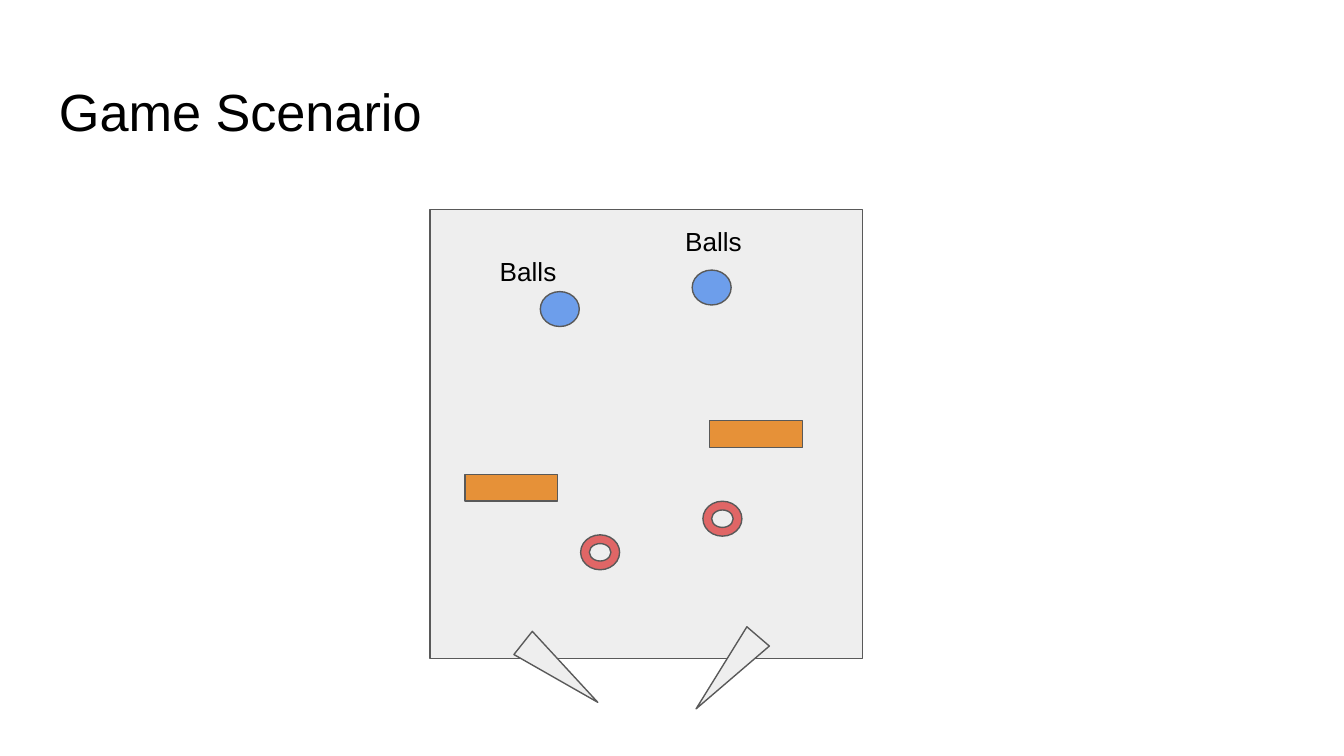
from dataclasses import dataclass

from pptx import Presentation
from pptx.dml.color import RGBColor as RGB
from pptx.enum.shapes import MSO_SHAPE as SHAPE
from pptx.enum.text import MSO_ANCHOR as ANCHOR
from pptx.util import Inches, Pt


@dataclass(frozen=True)
class Theme:
    font: str = "Arial"
    title_size: int = 28
    label_size: int = 14
    line_width: float = 0.75
    text: str = "000000"
    outline: str = "595959"
    board: str = "EEEEEE"
    ball: str = "6D9EEB"
    bar: str = "E69138"
    ring: str = "E06666"


THEME = Theme()
BALL_SIZE = (0.29, 0.26)
BAR_SIZE = (0.69, 0.2)
FLIPPER_SIZE = (0.22, 0.71)
LABEL_SIZE = (0.9, 0.31)


def add_text(s, text, pos, size, points):
    sp = s.shapes.add_textbox(*map(Inches, pos + size))
    tf = sp.text_frame
    frame_format = {"word_wrap": True, "vertical_anchor": ANCHOR.TOP}
    frame_format |= {f"margin_{side}": Inches(0.1)
                     for side in ("left", "top", "right", "bottom")}
    for name, value in frame_format.items():
        setattr(tf, name, value)
    r = tf.paragraphs[0].add_run()
    r.text = text
    for name, value in {"name": THEME.font, "size": Pt(points)}.items():
        setattr(r.font, name, value)
    r.font.color.rgb = RGB.from_string(THEME.text)


def add_piece(s, kind, pos, size, fill, rotation=0):
    sp = s.shapes.add_shape(kind, *map(Inches, pos + size))
    sp.rotation = rotation
    sp.shadow.inherit = False
    sp.fill.solid()
    sp.fill.fore_color.rgb = RGB.from_string(fill)
    sp.line.color.rgb = RGB.from_string(THEME.outline)
    sp.line.width = Pt(THEME.line_width)


def main():
    # Widescreen 16:9 slide
    prs = Presentation()
    prs.slide_width = Inches(10)
    prs.slide_height = Inches(10) * 9 // 16
    s = prs.slides.add_slide(prs.slide_layouts[6])

    # Title and board
    add_text(s, "Game Scenario", (0.34, 0.49), (9.32, 0.63), THEME.title_size)
    add_piece(s, SHAPE.RECTANGLE, (3.2, 1.56), (3.22, 3.34), THEME.board)

    # Flippers
    for x, rotation in ((4.06, 128.5), (5.3, 220.6)):
        add_piece(s, SHAPE.ISOSCELES_TRIANGLE, (x, 4.65), FLIPPER_SIZE,
                  THEME.board, rotation)

    # Balls and their labels
    for pos in ((4.02, 2.17), (5.15, 2.01)):
        add_piece(s, SHAPE.OVAL, pos, BALL_SIZE, THEME.ball)
    for pos in ((3.62, 1.8), (5, 1.58)):
        add_text(s, "Balls", pos, LABEL_SIZE, THEME.label_size)

    # Bars and rings
    for pos in ((3.46, 3.53), (5.28, 3.13)):
        add_piece(s, SHAPE.RECTANGLE, pos, BAR_SIZE, THEME.bar)
    for pos in ((5.23, 3.73), (4.32, 3.98)):
        add_piece(s, SHAPE.DONUT, pos, BALL_SIZE, THEME.ring)

    prs.save("out.pptx")


if __name__ == "__main__":
    main()
